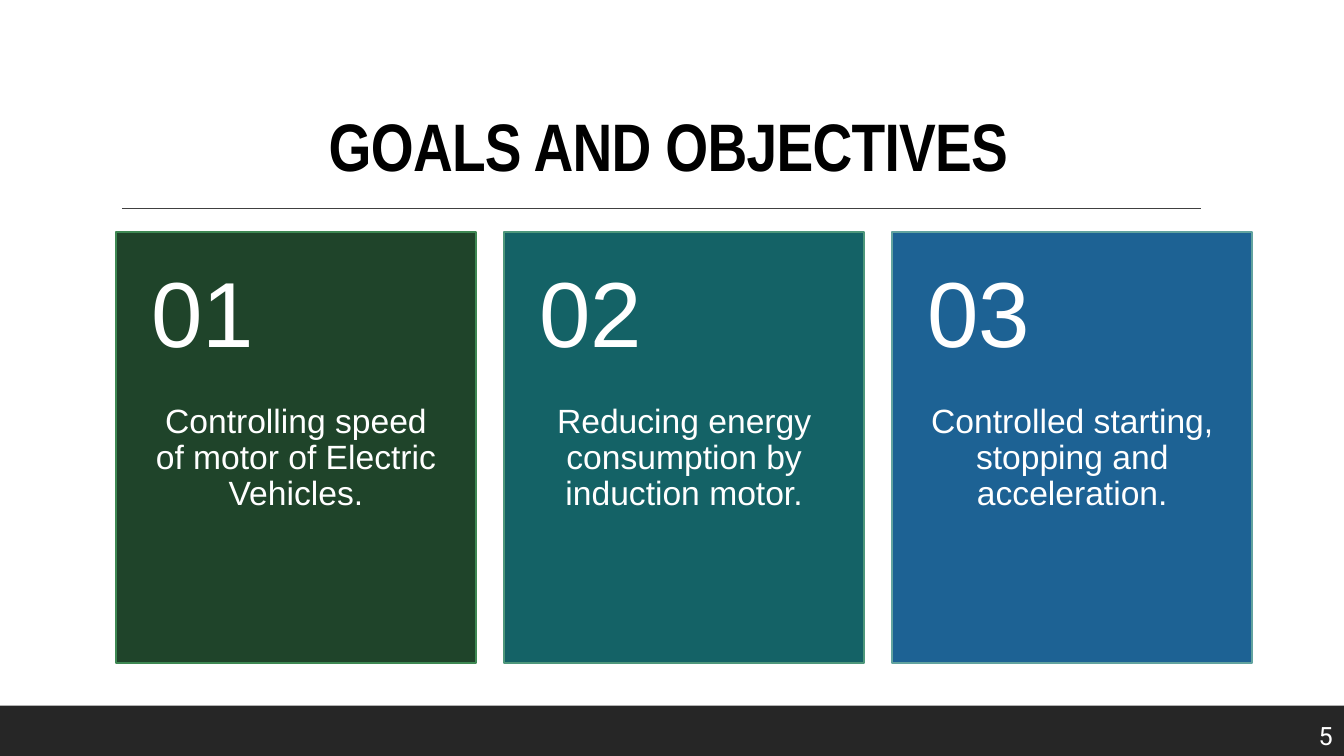
import dataclasses

import lxml.etree
import pptx
import pptx.dml.color
import pptx.enum.shapes
import pptx.enum.text
import pptx.oxml.ns
import pptx.util

EMU_PER_PX = 9144
ANCHOR = pptx.enum.text.MSO_ANCHOR
ALIGN = pptx.enum.text.PP_ALIGN


@dataclasses.dataclass(frozen=True)
class Theme:
    background: str = "FFFFFF"
    title: str = "000000"
    rule: str = "404040"
    footer: str = "262626"
    light_text: str = "FFFFFF"
    title_font: str = "Arial Narrow"
    card_font: str = "Arial"
    page_font: str = "Roboto"
    title_size: int = 48
    number_size: int = 66
    goal_size: int = 24
    page_size: int = 18


@dataclasses.dataclass(frozen=True)
class Box:
    left: int
    top: int
    width: int
    height: int

    def emu(self) -> tuple[int, ...]:
        return tuple(px(length) for length in dataclasses.astuple(self))


@dataclasses.dataclass(frozen=True)
class Goal:
    text: str
    fill: str
    outline: str


THEME = Theme()
SLIDE_WIDTH, SLIDE_HEIGHT = 1333, 750
CARD_LEFT, CARD_TOP, CARD_WIDTH, CARD_STEP = 115, 230, 357, 385
NUMBER_HEIGHT, GOAL_HEIGHT = 171, 257
GOALS = [
    Goal("Controlling speed of motor of Electric Vehicles.", "1F442A", "3E8853"),
    Goal("Reducing energy consumption by induction motor.", "146266", "4E977B"),
    Goal("Controlled starting, stopping and acceleration.", "1D6294", "62A39F"),
]


def px(length: int) -> int:
    return length * EMU_PER_PX


def color(value: str) -> pptx.dml.color.RGBColor:
    return pptx.dml.color.RGBColor.from_string(value)


def write_text(shape, text: str, *, font: str, size: int, ink: str,
               bold: bool = False, align=ALIGN.LEFT, anchor=ANCHOR.TOP,
               insets: tuple[int, int, int, int] = (10, 5, 10, 5),
               line_spacing: float = 0.9, tracking: int = 0,
               wrap: bool = True) -> None:
    frame = shape.text_frame
    frame.auto_size = pptx.enum.text.MSO_AUTO_SIZE.NONE
    frame.word_wrap = wrap
    frame.vertical_anchor = anchor
    (frame.margin_left, frame.margin_top,
     frame.margin_right, frame.margin_bottom) = map(px, insets)
    paragraph = frame.paragraphs[0]
    paragraph.alignment = align
    paragraph.line_spacing = line_spacing
    run = paragraph.add_run()
    run.text = text
    run.font.name = font
    run.font.size = pptx.util.Pt(size)
    run.font.bold = bold
    run.font.color.rgb = color(ink)
    if tracking:
        run._r.get_or_add_rPr().set("spc", str(tracking))


def add_rectangle(slide, box: Box, fill: str, outline: str | None = None) -> None:
    shape = slide.shapes.add_shape(
        pptx.enum.shapes.MSO_SHAPE.RECTANGLE, *box.emu())
    shape.shadow.inherit = False
    shape.fill.solid()
    shape.fill.fore_color.rgb = color(fill)
    if outline is None:
        shape.line.fill.background()
    else:
        shape.line.color.rgb = color(outline)
        shape.line.width = pptx.util.Pt(1.25)


def add_rule(slide, left: int, right: int, top: int) -> None:
    connector = slide.shapes.add_connector(
        pptx.enum.shapes.MSO_CONNECTOR.STRAIGHT,
        px(left), px(top), px(right), px(top))
    connector.line.color.rgb = color(THEME.rule)
    connector.line.width = pptx.util.Pt(1)
    lxml.etree.SubElement(connector._element.spPr,
                          pptx.oxml.ns.qn("a:effectLst"))


def add_card(slide, index: int, goal: Goal) -> None:
    left = CARD_LEFT + index * CARD_STEP
    add_rectangle(
        slide, Box(left, CARD_TOP, CARD_WIDTH, NUMBER_HEIGHT + GOAL_HEIGHT),
        goal.fill, goal.outline)
    goal_box = Box(left, CARD_TOP + NUMBER_HEIGHT, CARD_WIDTH, GOAL_HEIGHT)
    write_text(slide.shapes.add_textbox(*goal_box.emu()), goal.text,
               font=THEME.card_font, size=THEME.goal_size, ink=THEME.light_text,
               align=ALIGN.CENTER, insets=(35, 0, 35, 36))
    number_box = Box(left, CARD_TOP, CARD_WIDTH, NUMBER_HEIGHT)
    write_text(slide.shapes.add_textbox(*number_box.emu()), f"{index + 1:02}",
               font=THEME.card_font, size=THEME.number_size, ink=THEME.light_text,
               anchor=ANCHOR.MIDDLE, insets=(35, 18, 35, 18))


def main() -> None:
    presentation = pptx.Presentation()
    presentation.slide_width = px(SLIDE_WIDTH)
    presentation.slide_height = px(SLIDE_HEIGHT)
    slide = presentation.slides.add_slide(
        presentation.slide_layouts.get_by_name("Title Only"))
    slide.background.fill.solid()
    slide.background.fill.fore_color.rgb = color(THEME.background)

    title = slide.shapes.title
    title.left, title.top, title.width, title.height = Box(113, 31, 1100, 159).emu()
    write_text(title, "GOALS AND OBJECTIVES", font=THEME.title_font,
               size=THEME.title_size, ink=THEME.title, bold=True,
               align=ALIGN.CENTER, anchor=ANCHOR.BOTTOM, tracking=-50)
    add_rule(slide, 121, 1191, 207)

    add_rectangle(slide, Box(0, 700, SLIDE_WIDTH, 50), THEME.footer)
    write_text(slide.shapes.add_textbox(*Box(1298, 710, 35, 40).emu()), "5",
               font=THEME.page_font, size=THEME.page_size, ink=THEME.light_text,
               line_spacing=1.0, wrap=False)

    for index, goal in enumerate(GOALS):
        add_card(slide, index, goal)
    presentation.save("out.pptx")


if __name__ == "__main__":
    main()
